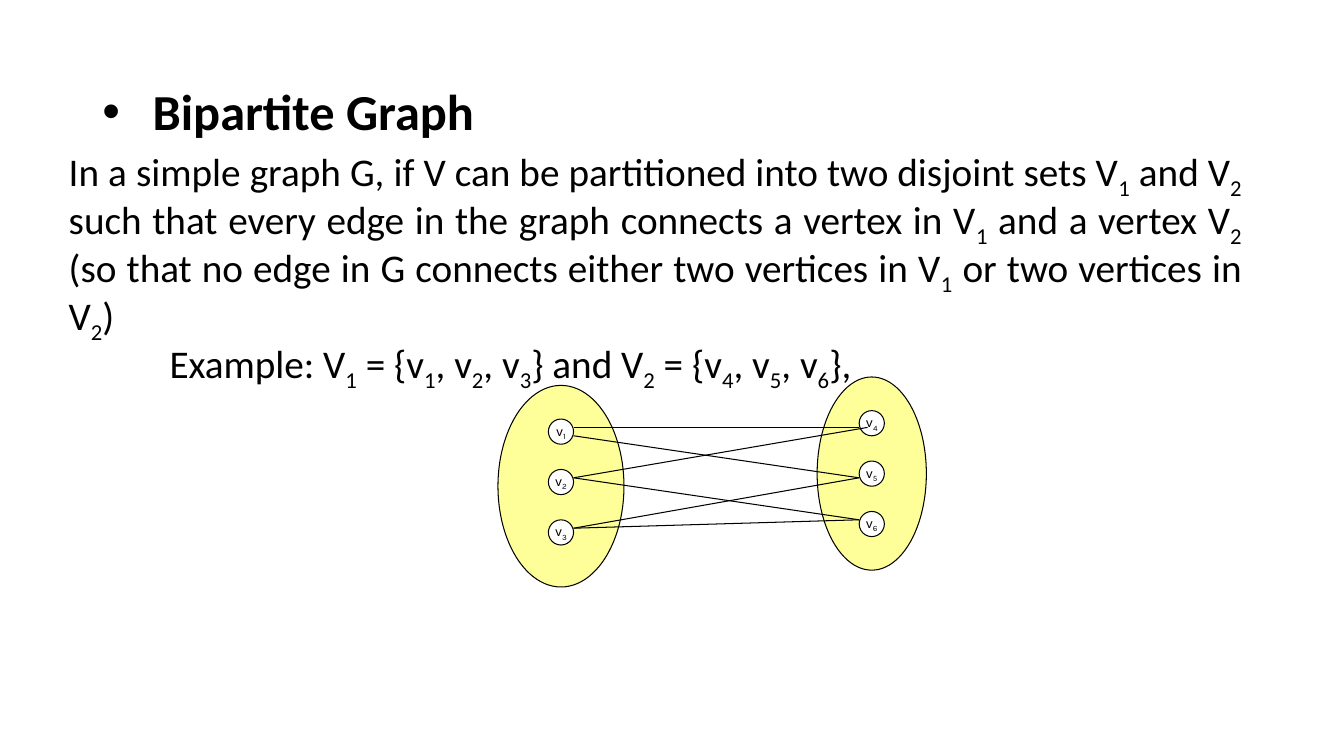
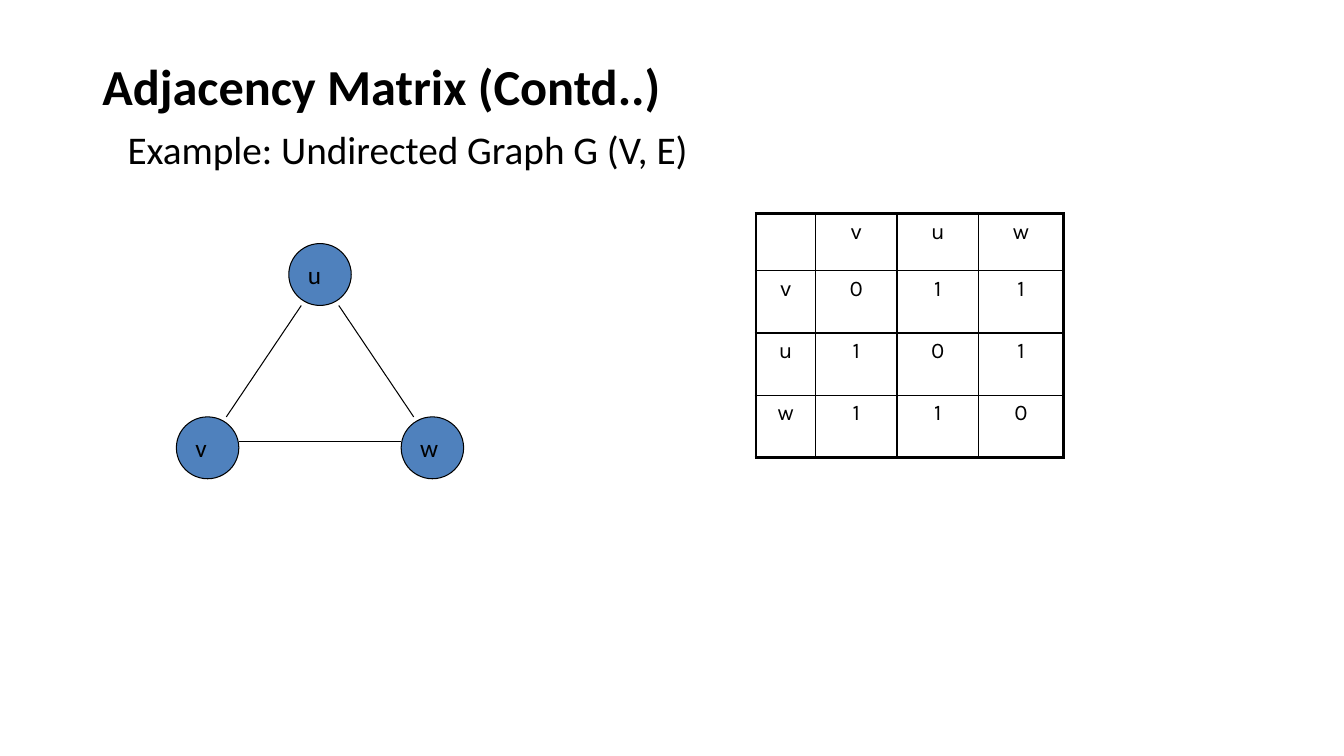
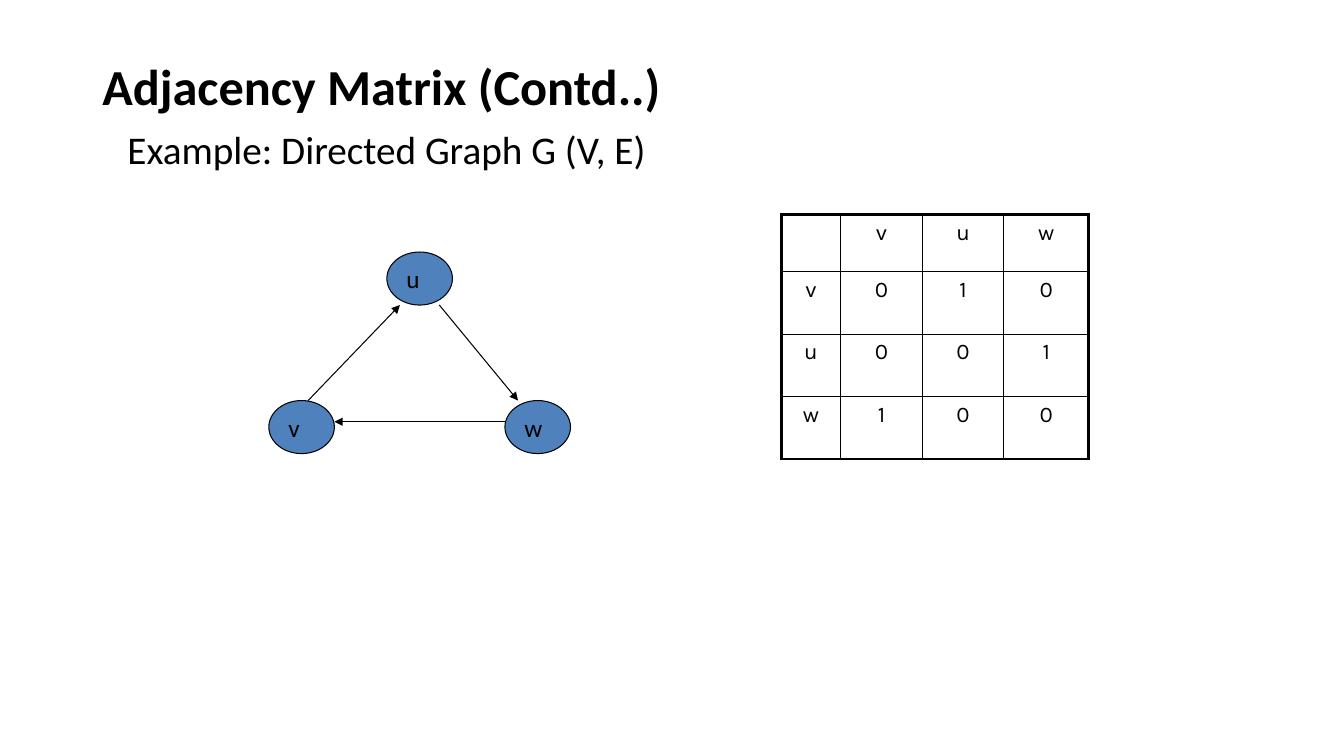
import dataclasses

import pptx
import pptx.dml.color
import pptx.enum.shapes
import pptx.enum.text
import pptx.oxml.ns
import pptx.oxml.xmlchemy
import pptx.util
from lxml import etree

Pt = pptx.util.Pt
qn = pptx.oxml.ns.qn
ALIGN = pptx.enum.text.PP_ALIGN


@dataclasses.dataclass(frozen=True)
class Theme:
    ink: str = "000000"
    set_fill: str = "FFFF99"
    vertex_fill: str = "FFFFFF"
    node_fill: str = "4F81BD"
    text_font: str = "Calibri"
    figure_font: str = "Karla"
    title_size: float = 36
    body_size: float = 28
    node_size: float = 18
    matrix_size: float = 16
    vertex_size: float = 10
    line: float = 0.75
    inner_border: float = 1
    outer_border: float = 2.25


THEME = Theme()


def rgb(value):
    return pptx.dml.color.RGBColor.from_string(value)


# Shared text helpers
def write(paragraph, text, size, font=THEME.text_font, bold=False, align=ALIGN.LEFT):
    """Fill a paragraph; an underscore makes the next character a subscript."""
    paragraph.alignment = align
    paragraph.font.name = font
    paragraph.font.size = Pt(size)
    paragraph.font.bold = bold
    paragraph.font.color.rgb = rgb(THEME.ink)
    first, *rest = text.split("_")
    paragraph.add_run().text = first
    for piece in rest:
        subscript = paragraph.add_run()
        subscript.text = piece[0]
        subscript.font._element.set("baseline", "-25000")
        if piece[1:]:
            paragraph.add_run().text = piece[1:]


def indent(paragraph, margin, first_line):
    properties = paragraph._p.get_or_add_pPr()
    properties.set("marL", str(Pt(margin)))
    properties.set("indent", str(Pt(first_line)))
    return properties


def text_frame(slide, left, top, width, height, wrap=False):
    box = slide.shapes.add_textbox(Pt(left), Pt(top), Pt(width), Pt(height))
    box.text_frame.word_wrap = wrap
    box.text_frame.auto_size = pptx.enum.text.MSO_AUTO_SIZE.SHAPE_TO_FIT_TEXT
    return box.text_frame


def add_title(slide, text, left, top, width, bullet=False):
    paragraph = text_frame(slide, left, top, width, 51).paragraphs[0]
    if bullet:
        properties = indent(paragraph, 36, -36)
        etree.SubElement(properties, qn("a:buFont")).set("typeface", "Arial")
        etree.SubElement(properties, qn("a:buChar")).set("char", "•")
    write(paragraph, text, THEME.title_size, bold=True)


# Shared graph helpers
def add_ellipse(shapes, left, top, width, height, fill):
    ellipse = shapes.add_shape(pptx.enum.shapes.MSO_SHAPE.OVAL,
                               Pt(left), Pt(top), Pt(width), Pt(height))
    ellipse.shadow.inherit = False
    ellipse.fill.solid()
    ellipse.fill.fore_color.rgb = rgb(fill)
    ellipse.line.color.rgb = rgb(THEME.ink)
    ellipse.line.width = Pt(THEME.line)
    return ellipse


def add_node(shapes, label, box, fill, size, font, align):
    frame = add_ellipse(shapes, *box, fill).text_frame
    frame.word_wrap = False
    frame.vertical_anchor = pptx.enum.text.MSO_ANCHOR.MIDDLE
    write(frame.paragraphs[0], label, size, font, align=align)


def add_edge(shapes, x1, y1, x2, y2, arrow=False):
    edge = shapes.add_connector(pptx.enum.shapes.MSO_CONNECTOR.STRAIGHT,
                                Pt(x1), Pt(y1), Pt(x2), Pt(y2))
    edge.line.color.rgb = rgb(THEME.ink)
    edge.line.width = Pt(THEME.line)
    properties = edge._element.spPr
    if arrow:
        tail = etree.SubElement(properties.find(qn("a:ln")), qn("a:tailEnd"))
        tail.set("type", "triangle")
    etree.SubElement(properties, qn("a:effectLst"))


# Bipartite graph: two vertex sets and the edges between them
def add_bipartite_graph(slide, left, top):
    shapes = slide.shapes.add_group_shape().shapes
    diameter, step = 18, 36
    left_x, left_y = left + 36, top + 30
    right_x, right_y = left + 258, top + 24
    add_ellipse(shapes, left, top + 6, 90, 144, THEME.set_fill)
    add_ellipse(shapes, left + 228, top, 78, 138, THEME.set_fill)
    for x, y, first in ((left_x, left_y, 1), (right_x, right_y, 4)):
        for row in range(3):
            add_node(shapes, f"v_{first + row}", (x, y + row * step, diameter, diameter),
                     THEME.vertex_fill, THEME.vertex_size, THEME.figure_font, ALIGN.CENTER)
    # Start height, end height and reach into the right-hand vertex
    for start, end, reach in ((36, 36, 0), (42, 72, 0), (72, 36, 6),
                              (72, 102, 0), (108, 72, 0), (108, 102, 0)):
        add_edge(shapes, left_x + diameter, top + start, right_x + reach, top + end)


def bipartite_slide(slide):
    add_title(slide, "Bipartite Graph", 66, 54, 283, bullet=True)
    body = text_frame(slide, 42, 102, 852, 160, wrap=True)
    definition, example = body.paragraphs[0], body.add_paragraph()
    write(definition,
          "In a simple graph G, if V can be partitioned into two disjoint sets V_1 and V_2"
          " such that every edge in the graph connects a vertex in V_1 and a vertex V_2"
          " (so that no edge in G connects either two vertices in V_1"
          " or two vertices in V_2)", THEME.body_size, align=ALIGN.JUSTIFY)
    write(example, "Example: V_1 = {v_1, v_2, v_3} and V_2 = {v_4, v_5, v_6},",
          THEME.body_size, align=ALIGN.JUSTIFY)
    indent(example, 0, 72)
    for paragraph in body.paragraphs:
        paragraph.line_spacing = 0.9
    add_bipartite_graph(slide, 355.7, 269.3)


# Triangle graph, laid out on a 23 by 19 grid inside its box
def add_triangle_graph(slide, left, top, width, height, edges, directed):
    shapes = slide.shapes.add_group_shape().shapes
    unit_x, unit_y = width / 23, height / 19
    for label, column, row in (("u", 9, 0), ("v", 0, 14), ("w", 18, 14)):
        box = (left + column * unit_x, top + row * unit_y, 5 * unit_x, 5 * unit_y)
        add_node(shapes, label, box, THEME.node_fill, THEME.node_size,
                 THEME.text_font, ALIGN.LEFT)
    for x1, y1, x2, y2 in edges:
        add_edge(shapes, left + x1 * unit_x, top + y1 * unit_y,
                 left + x2 * unit_x, top + y2 * unit_y, directed)


# Adjacency matrix with a heavy outer border
def add_border(cell, side, width):
    line = etree.SubElement(cell._tc.get_or_add_tcPr(), qn(f"a:ln{side}"))
    line.set("w", str(Pt(width)))
    fill = etree.SubElement(line, qn("a:solidFill"))
    etree.SubElement(fill, qn("a:srgbClr")).set("val", THEME.ink)


def add_matrix(slide, left, top, values):
    labels = "vuw"
    rows = [" " + labels] + [label + row for label, row in zip(labels, values)]
    widths, heights = (42.5, 58.3, 58.3, 60.5), (40.7, 44.6, 44.6, 44.6)
    table = slide.shapes.add_table(4, 4, Pt(left), Pt(top),
                                   Pt(sum(widths)), Pt(sum(heights))).table
    table.first_row = table.horz_banding = False
    for index, (width, height) in enumerate(zip(widths, heights)):
        table.columns[index].width = Pt(width)
        table.rows[index].height = Pt(height)
    for r, row in enumerate(rows):
        for c, value in enumerate(row):
            cell = table.cell(r, c)
            for side, outer in (("L", c == 0), ("R", c == 3), ("T", r == 0), ("B", r == 3)):
                add_border(cell, side, THEME.outer_border if outer else THEME.inner_border)
            cell.fill.background()
            if value.strip():
                paragraph = cell.text_frame.paragraphs[0]
                write(paragraph, value, THEME.matrix_size, THEME.figure_font,
                      align=ALIGN.CENTER)
                paragraph.space_before = Pt(3.2)


def matrix_slide(slide, kind, example_width, graph_box, edges, matrix_at, values):
    add_title(slide, "Adjacency Matrix (Contd..)", 66, 36, 417.6)
    example = text_frame(slide, 84, 85.7, example_width, 41)
    write(example.paragraphs[0], f"Example: {kind} Graph G (V, E)", THEME.body_size)
    add_triangle_graph(slide, *graph_box, edges, directed=kind == "Directed")
    add_matrix(slide, *matrix_at, values)


def main():
    deck = pptx.Presentation()
    deck.slide_width, deck.slide_height = Pt(960), Pt(540)

    def new_slide():
        return deck.slides.add_slide(deck.slide_layouts[6])

    bipartite_slide(new_slide())
    matrix_slide(new_slide(), "Undirected", 419, (126, 174, 205.2, 168),
                 ((5, 16, 18, 16), (13, 5, 19, 14), (10, 5, 4, 14)),
                 (540, 152.6), ("011", "101", "110"))
    matrix_slide(new_slide(), "Directed", 388.8, (192, 180, 215.5, 144),
                 ((13, 5, 19, 14), (18, 16, 5, 16), (3, 14, 10, 5)),
                 (558, 153.4), ("010", "001", "100"))
    deck.save("out.pptx")


if __name__ == "__main__":
    main()
